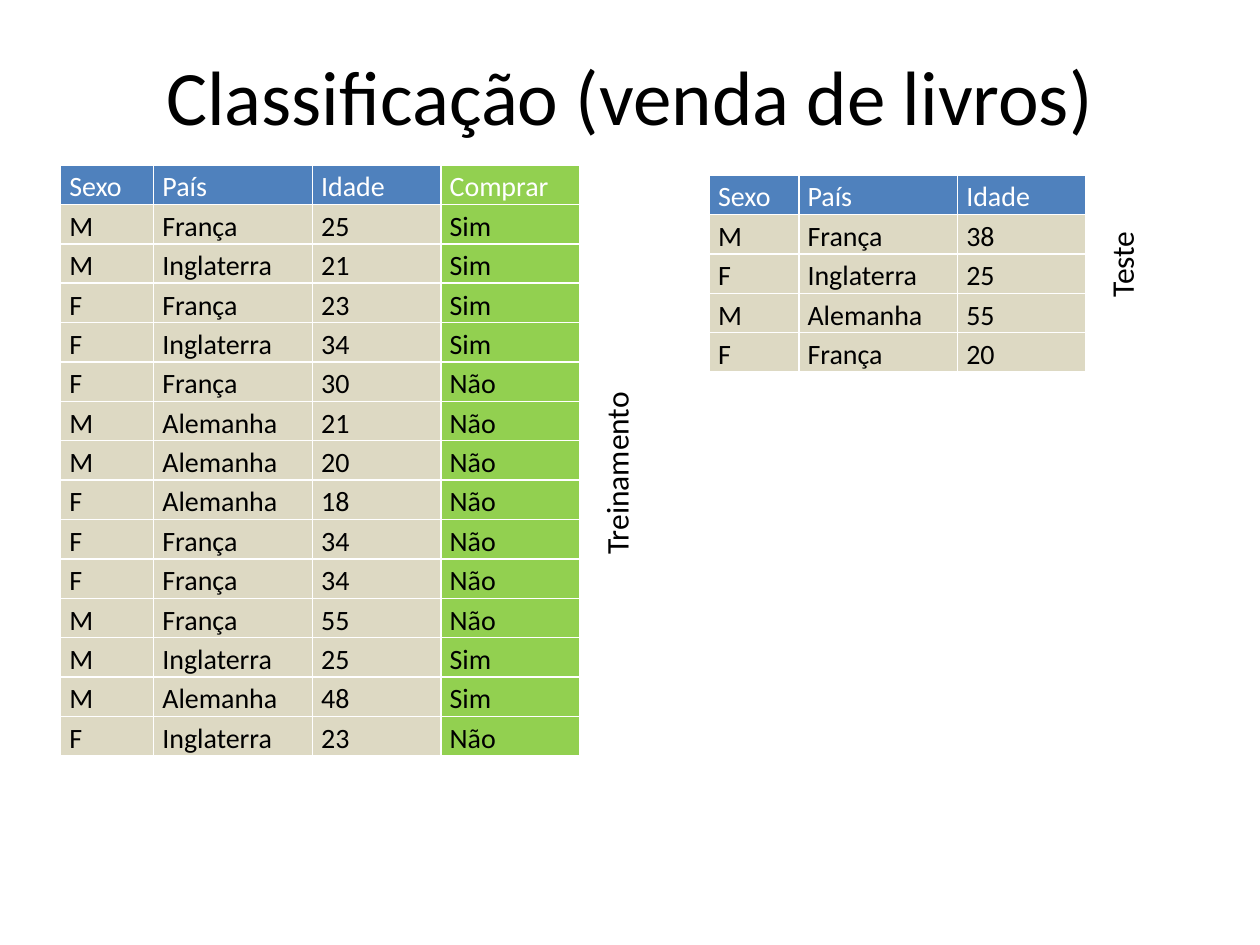
import pptx
import pptx.dml.color
import pptx.enum.text
import pptx.util

Inches = pptx.util.Inches
Pt = pptx.util.Pt

COLORS = {"head": "4F81BD", "body": "DDD9C3", "buy": "92D050",
          "white": "FFFFFF", "black": "000000"}
FONT = "Calibri"
ROW = 0.31  # row height in inches

TRAIN = [line.split() for line in """
Sexo País Idade Comprar
M França 25 Sim
M Inglaterra 21 Sim
F França 23 Sim
F Inglaterra 34 Sim
F França 30 Não
M Alemanha 21 Não
M Alemanha 20 Não
F Alemanha 18 Não
F França 34 Não
F França 34 Não
M França 55 Não
M Inglaterra 25 Sim
M Alemanha 48 Sim
F Inglaterra 23 Não
""".strip().splitlines()]

TEST = [line.split() for line in """
Sexo País Idade
M França 38
F Inglaterra 25
M Alemanha 55
F França 20
""".strip().splitlines()]


def color(name):
    return pptx.dml.color.RGBColor.from_string(COLORS[name])


def style(para, size, tint):
    font = para.font
    font.name, font.size, font.bold = FONT, Pt(size), False
    font.color.rgb = color(tint)


def add_title(slide, text, left, top, width, height):
    title = slide.shapes.title
    title.left, title.top = Inches(left), Inches(top)
    title.width, title.height = Inches(width), Inches(height)
    frame = title.text_frame
    frame.text = text
    frame.vertical_anchor = pptx.enum.text.MSO_ANCHOR.MIDDLE
    para = frame.paragraphs[0]
    para.alignment = pptx.enum.text.PP_ALIGN.CENTER
    style(para, 44, "black")


def fill_cell(cell, text, fill, tint):
    cell.margin_left = cell.margin_right = Inches(0.07)
    cell.margin_top = cell.margin_bottom = 0
    cell.fill.solid()
    cell.fill.fore_color.rgb = color(fill)
    cell.text = text
    para = cell.text_frame.paragraphs[0]
    para.line_spacing = 1.15
    style(para, 16, tint)


def add_grid(slide, data, left, top, widths):
    frame = slide.shapes.add_table(
        len(data), len(widths), Inches(left), Inches(top),
        Inches(sum(widths)), Inches(ROW * len(data)))
    table = frame.table
    table.horz_banding = False
    for col, width in zip(table.columns, widths):
        col.width = Inches(width)
    for r, row in enumerate(data):
        for c, text in enumerate(row):
            # The class column stands out from the attributes
            fill = "buy" if c == 3 else "body" if r else "head"
            fill_cell(table.cell(r, c), text, fill,
                      "black" if r else "white")


def add_label(slide, text, left, top, width, height):
    box = slide.shapes.add_textbox(
        Inches(left), Inches(top), Inches(width), Inches(height))
    frame = box.text_frame
    frame.word_wrap = False
    frame.auto_size = pptx.enum.text.MSO_AUTO_SIZE.SHAPE_TO_FIT_TEXT
    frame.text = text
    style(frame.paragraphs[0], 18, "black")
    # Text reads from bottom to top
    box.element.txBody.bodyPr.set("vert", "vert270")


deck = pptx.Presentation()
deck.slide_width, deck.slide_height = Inches(10), Inches(7.5)
slide = deck.slides.add_slide(deck.slide_layouts[5])

add_title(slide, "Classificação (venda de livros)", 0.5, 0.13, 9, 1.25)

# Training set
add_grid(slide, TRAIN, 0.48, 1.31, [0.74, 1.26, 1.02, 1.1])
add_label(slide, "Treinamento", 4.69, 2.85, 0.5, 1.65)

# Test set
add_grid(slide, TEST, 5.63, 1.39, [0.71, 1.26, 1.02])
add_label(slide, "Teste", 8.7, 1.7, 0.5, 0.76)

deck.save("out.pptx")
